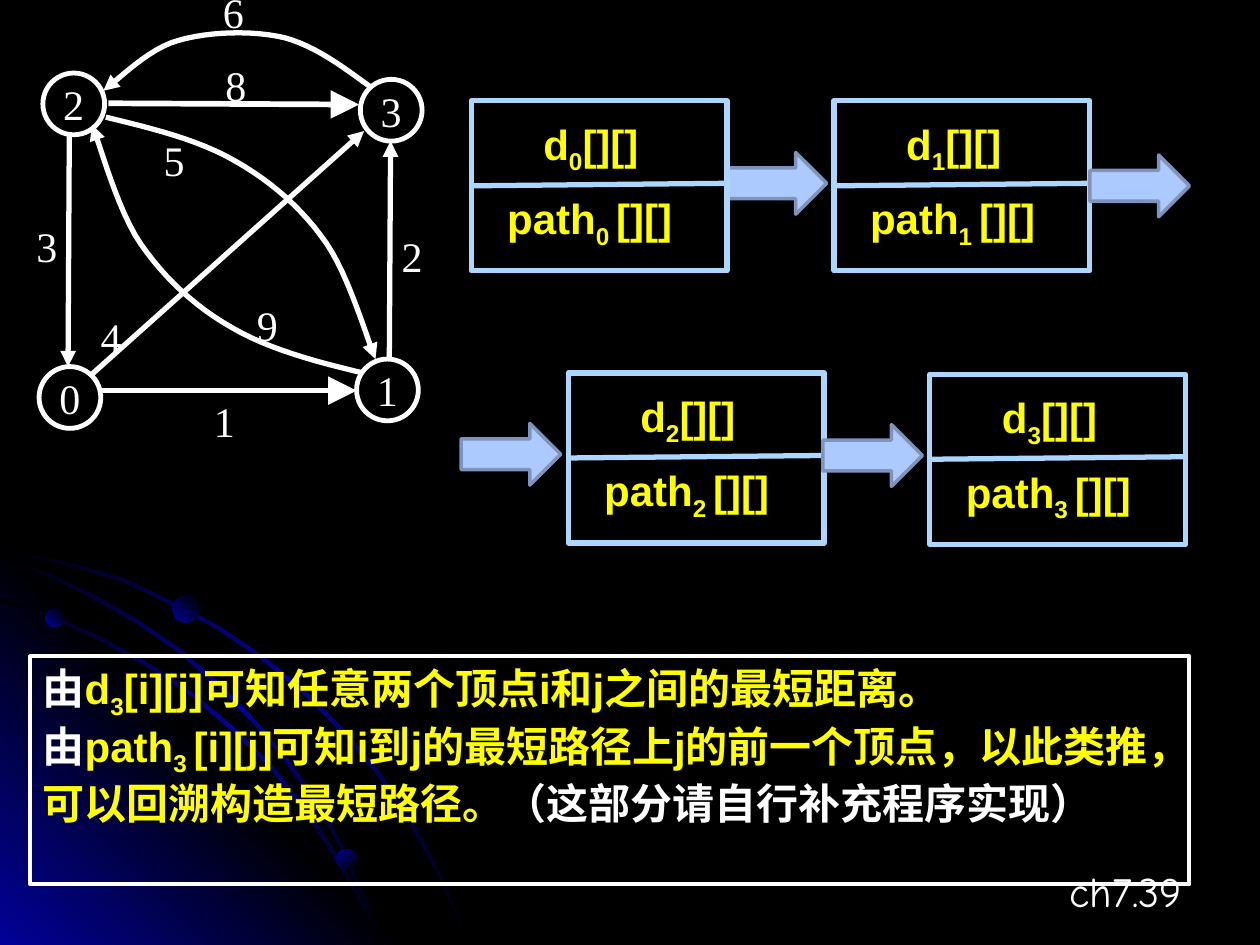
from lxml import etree
from pptx import Presentation
from pptx import util as u
from pptx.dml.color import RGBColor
from pptx.enum import shapes as sh, text as tx
from pptx.oxml import parse_xml
from pptx.oxml.ns import nsdecls, qn

WHITE, YELLOW, BLACK, NAVY = "FFFFFF", "FFFF00", "000000", "010199"
FRAME, ARROW, RIM = "ADD6FF", "ADCAFF", "7E94BC"
SERIF, SANS, PAGE = "Times New Roman", "Arial", "Comic Neue"
KIND = sh.MSO_SHAPE
LEFT, CENTER, RIGHT = tx.PP_ALIGN.LEFT, tx.PP_ALIGN.CENTER, tx.PP_ALIGN.RIGHT


def color(code):
    return RGBColor.from_string(code)


def paint(shape, fill=None, line=None, width=1):
    shape.shadow.inherit = False
    if fill:
        shape.fill.solid()
        shape.fill.fore_color.rgb = color(fill)
    else:
        shape.fill.background()
    if line:
        shape.line.color.rgb = color(line)
        shape.line.width = u.Pt(width)
    else:
        shape.line.fill.background()
    return shape


def blend(shape, stops, angle):
    """Give the shape an even gradient; the angle runs clockwise."""
    paint(shape)
    step = 100000 // (len(stops) - 1)
    marks = "".join(f'<a:gs pos="{i * step}"><a:srgbClr val="{code}"/></a:gs>'
                    for i, code in enumerate(stops))
    grad = parse_xml(f'<a:gradFill {nsdecls("a")} rotWithShape="1"><a:gsLst>{marks}'
                     f'</a:gsLst><a:lin ang="{angle * 60000}" scaled="1"/></a:gradFill>')
    props = shape._element.spPr
    props.replace(props.find(qn("a:noFill")), grad)


def block(slide, kind, x, y, w, h, **style):
    return paint(slide.shapes.add_shape(kind, *map(u.Inches, (x, y, w, h))), **style)


def outline(slide, points, close):
    spots = [(u.Inches(x), u.Inches(y)) for x, y in points]
    form = slide.shapes.build_freeform(*spots[0])
    form.add_line_segments(spots[1:], close=close)
    return form.convert_to_shape()


def tip(shape, size="med"):
    etree.SubElement(shape.line._get_or_add_ln(), qn("a:tailEnd"),
                     type="triangle", w=size, len=size)


def link(slide, start, end, line=WHITE, width=3):
    wire = slide.shapes.add_connector(sh.MSO_CONNECTOR.STRAIGHT,
                                      *map(u.Inches, (*start, *end)))
    wire.line.color.rgb = color(line)
    wire.line.width = u.Pt(width)
    etree.SubElement(wire._element.spPr, qn("a:effectLst"))
    return wire


def write(shape, *paras, font=SERIF, fill=WHITE, bold=False, align=LEFT,
          wrap=True, anchor=tx.MSO_ANCHOR.TOP):
    """Each paragraph is a list of (text, color or None, is subscript)."""
    frame = shape.text_frame
    frame.word_wrap = wrap
    frame.vertical_anchor = anchor
    for i, runs in enumerate(paras):
        para = frame.add_paragraph() if i else frame.paragraphs[0]
        para.alignment = align
        for words, tint, sub in runs:
            run = para.add_run()
            run.text = words
            run.font.name, run.font.size, run.font.bold = font, u.Pt(24), bold
            run.font.color.rgb = color(tint or fill)
            if sub:
                run.font._element.set("baseline", "-25000")


def label(slide, runs, x, y, w, h=0.5, **style):
    box = slide.shapes.add_textbox(*map(u.Inches, (x, y, w, h)))
    write(box, runs, **style)


def curve(start, bends, count=12):
    """Points along a chain of cubic Bezier bends."""
    points = [start]
    for b, c, d in bends:
        a = points[-1]
        for i in range(1, count + 1):
            t = i / count
            s = 1 - t
            points.append(tuple(s**3 * p + 3 * s * s * t * q + 3 * s * t * t * r + t**3 * e
                                for p, q, r, e in zip(a, b, c, d)))
    return points


def band(slide, edge):
    inner = [(max(x - 0.02, 0), y + 0.02 if y < 7.4 else y) for x, y in reversed(edge)]
    blend(outline(slide, edge + inner, True), (BLACK, NAVY, BLACK), 45)


def backdrop(slide):
    slide.background.fill.solid()
    slide.background.fill.fore_color.rgb = color(BLACK)
    band(slide, [(0, 4.35), (0.57, 4.47), (0.98, 4.59), (1.36, 4.77), (1.74, 4.97),
                 (2.09, 5.21), (2.42, 5.48), (2.72, 5.78), (3, 6.11), (3.25, 6.48),
                 (3.39, 6.73), (3.52, 6.98), (3.62, 7.23), (3.72, 7.49)])
    blend(outline(slide, [(3.22, 7.5), (0, 7.5), (0, 4.27)], True),
          (NAVY, BLACK, NAVY), 315)
    band(slide, [(0, 4.75), (0.41, 4.88), (0.79, 5.05), (1.17, 5.26), (1.52, 5.49),
                 (1.84, 5.76), (2.15, 6.06), (2.42, 6.4), (2.66, 6.76), (2.86, 7.12),
                 (2.96, 7.3), (3.03, 7.49)])
    band(slide, [(0, 4.42), (0.39, 4.55), (0.76, 4.73), (1.11, 4.93), (1.44, 5.16),
                 (1.75, 5.43), (2.04, 5.73), (2.29, 6.03), (2.54, 6.39), (2.69, 6.65),
                 (2.82, 6.93), (2.94, 7.2), (3.03, 7.49)])
    for x, y, size, angle in ((0.36, 4.83, 0.15, 315), (2.67, 6.74, 0.16, 45),
                              (1.37, 4.73, 0.21, 315)):
        blend(block(slide, KIND.OVAL, x, y, size, size), (NAVY, BLACK), angle)


def graph(slide, x, y):
    """Weighted digraph whose top left corner is at x, y."""
    def at(px, py):
        return x + px, y + py

    nodes = {"3": (2.86, 0.63), "2": (0.34, 0.58), "1": (2.83, 2.85), "0": (0.31, 2.91)}
    for name, spot in nodes.items():
        node = block(slide, KIND.OVAL, *at(*spot), 0.49, 0.49, line=WHITE, width=2.75)
        write(node, [(name, None, False)], align=CENTER, wrap=False,
              anchor=tx.MSO_ANCHOR.MIDDLE)

    weights = {"8": (1.69, 0.42), "4": (0.7, 2.42), "1": (1.6, 3.09), "9": (1.94, 2.33),
               "6": (1.67, -0.16), "2": (3.09, 1.78), "5": (1.2, 1.02), "3": (0.19, 1.7)}
    for name, spot in weights.items():
        label(slide, [(name, None, False)], *at(*spot), 0.36, wrap=False)

    edges = (((0.86, 0.82), (2.85, 0.83), 3.25, "lg"), ((3.09, 2.85), (3.1, 1.12), 3, "med"),
             ((0.55, 1.07), (0.54, 2.91), 3, "med"), ((0.73, 2.97), (2.89, 1.04), 3, "med"),
             ((0.8, 3.1), (2.83, 3.1), 3.25, "lg"))
    for start, end, width, size in edges:
        tip(link(slide, at(*start), at(*end), width=width), size)

    arcs = (
        ((0.84, 0.93), [((1.21, 1.02), (1.58, 1.11), (1.87, 1.28)),
                        ((2.17, 1.45), (2.41, 1.67), (2.59, 1.93)),
                        ((2.77, 2.19), (2.92, 2.71), (2.98, 2.85))]),
        ((2.88, 2.96), [((2.5, 2.87), (2.13, 2.77), (1.84, 2.6)),
                        ((1.54, 2.43), (1.3, 2.2), (1.12, 1.94)),
                        ((0.93, 1.67), (0.79, 1.13), (0.73, 0.99))]),
        ((2.94, 0.69), [((2.72, 0.53), (2.51, 0.37), (2.26, 0.3)),
                        ((2.01, 0.24), (1.66, 0.25), (1.42, 0.32)),
                        ((1.18, 0.38), (0.92, 0.65), (0.82, 0.72))]))
    for start, bends in arcs:
        points = [at(*spot) for spot in curve(start, bends)]
        tip(paint(outline(slide, points, False), line=WHITE, width=3))


def panel(slide, index, x, y, w=2.03, h=1.35):
    style = dict(font=SANS, fill=YELLOW, bold=True, align=CENTER)
    label(slide, [("d", None, False), (index, None, True), ("[][]", None, False)],
          x + 0.45, y + 0.09, 1, 0.56, **style)
    label(slide, [("path", None, False), (index + " ", None, True), ("[][]", None, False)],
          x + 0.15, y + 0.68, 1.58, 0.56, **style)
    block(slide, KIND.RECTANGLE, x, y, w, h, line=FRAME, width=3)
    link(slide, (x, y + h / 2), (x + w, y + h / 2 - 0.02), line=FRAME)


def arrow(slide, x, y):
    block(slide, KIND.RIGHT_ARROW, x, y, 0.79, 0.49, fill=ARROW, line=RIM, width=2)


def steps(slide):
    arrow(slide, 5.77, 1.21)
    for i, spot in enumerate(((3.74, 0.8), (6.62, 0.8), (4.51, 2.96), (7.38, 2.97))):
        panel(slide, str(i), *spot)
    for spot in ((3.66, 3.36), (6.53, 3.37), (8.65, 1.23)):
        arrow(slide, *spot)


def note(slide, x, y, w, h):
    box = block(slide, KIND.RECTANGLE, x, y, w, h, line=WHITE, width=2.25)
    write(box,
          [("由", WHITE, False), ("d", None, False), ("3", None, True),
           ("[i][j]可知任意两个顶点i和j之间的最短距离。", None, False)],
          [("由", WHITE, False), ("path", None, False), ("3 ", None, True),
           ("[i][j]可知i到j的最短路径上j的前一个顶点，以此类推，可以回溯构造最短路径。", None, False),
           ("（这部分请自行补充程序实现）", WHITE, False)],
          font=SANS, fill=YELLOW, bold=True)


def main():
    deck = Presentation()
    deck.slide_width, deck.slide_height = u.Inches(10), u.Inches(7.5)
    slide = deck.slides.add_slide(deck.slide_layouts[6])
    backdrop(slide)
    label(slide, [("ch7.39", None, False)], 7.2, 6.82, 2.28, font=PAGE, align=RIGHT)
    graph(slide, 0, 0)
    steps(slide)
    note(slide, 0.24, 5.21, 9.2, 1.81)
    deck.save("out.pptx")


if __name__ == "__main__":
    main()
